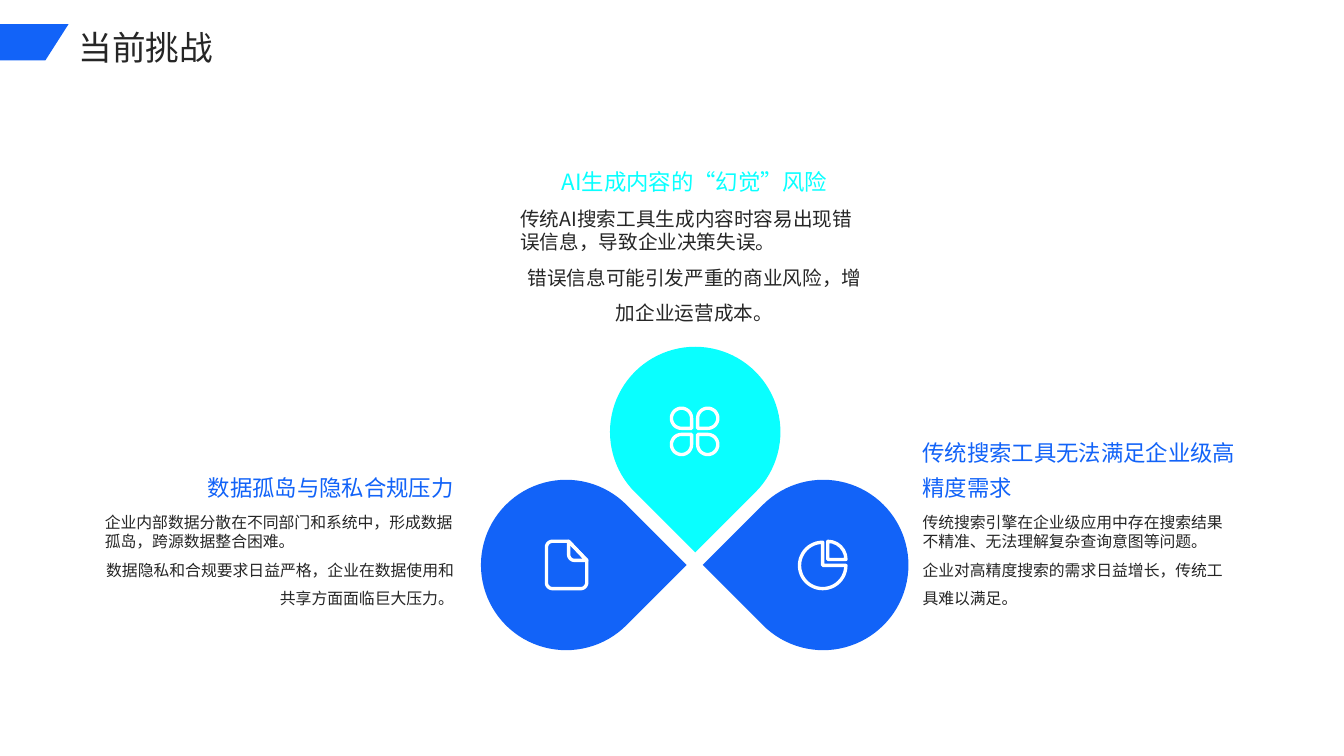
from dataclasses import dataclass
from math import cos, radians, sin, sqrt

from pptx import Presentation
from pptx import util as u
from pptx.dml.color import RGBColor
from pptx.enum import shapes, text
from pptx.oxml.ns import qn
from lxml import etree


@dataclass(frozen=True)
class Theme:
    font: str = "Noto Sans CJK SC"
    blue: str = "1263F8"
    cyan: str = "09FFFF"
    ink: str = "262626"
    white: str = "FFFFFF"
    title: float = 24
    heading: float = 16
    body: float = 14
    small: float = 11.3
    icon_line: float = 2.4


T = Theme()
SHAPE = shapes.MSO_SHAPE
LEFT, CENTER, RIGHT = text.PP_ALIGN.LEFT, text.PP_ALIGN.CENTER, text.PP_ALIGN.RIGHT

# heading, body paragraphs, left, heading top, width, alignment, body size, colour
CHALLENGES = [
    ("AI生成内容的“幻觉”风险",
     ["传统AI搜索工具生成内容时容易出现错误信息，导致企业决策失误。",
      "错误信息可能引发严重的商业风险，增加企业运营成本。"],
     5.16, 1.3, 3.46, CENTER, T.body, T.cyan),
    ("数据孤岛与隐私合规压力",
     ["企业内部数据分散在不同部门和系统中，形成数据孤岛，跨源数据整合困难。",
      "数据隐私和合规要求日益严格，企业在数据使用和共享方面面临巨大压力。"],
     1.04, 4.34, 3.46, RIGHT, T.small, T.blue),
    ("传统搜索工具无法满足企业级高精度需求",
     ["传统搜索引擎在企业级应用中存在搜索结果不精准、无法理解复杂查询意图等问题。",
      "企业对高精度搜索的需求日益增长，传统工具难以满足。"],
     9.15, 4.34, 3.13, LEFT, T.small, T.blue),
]
# left, top, rotation, colour
DROPS = [(6.05, 3.44, 135, T.cyan), (7.32, 4.76, 225, T.blue), (4.77, 4.76, 45, T.blue)]


def rgb(color):
    return RGBColor.from_string(color)


def style_paragraph(p, size, color, align, spacing):
    p.alignment, p.line_spacing = align, spacing
    p.font.size, p.font.name = u.Pt(size), T.font
    p.font.color.rgb = rgb(color)
    props = p._p.get_or_add_pPr().find(qn("a:defRPr"))
    latin = props.find(qn("a:latin"))
    ea = etree.Element(qn("a:ea"), typeface=T.font)
    latin.addnext(ea)


def paint(sp, fill=None, line=None):
    sp.shadow.inherit = False
    if fill:
        sp.fill.solid()
        sp.fill.fore_color.rgb = rgb(fill)
    else:
        sp.fill.background()
    if line:
        sp.line.color.rgb = rgb(line)
        sp.line.width = u.Pt(T.icon_line)
    else:
        sp.line.fill.background()


def add_preset(s, kind, left, top, size, rotation=0, **colors):
    sp = s.shapes.add_shape(kind, *map(u.Inches, (left, top, size, size)))
    sp.rotation = rotation
    paint(sp, **colors)


def add_outline(s, *contours, **colors):
    """One freeform made of closed contours, given as points in inches."""
    builder = s.shapes.build_freeform(*map(u.Inches, contours[0][0]))
    for i, contour in enumerate(contours):
        start, *rest = [tuple(map(u.Inches, point)) for point in contour]
        if i:
            builder.move_to(*start)
        builder.add_line_segments(rest, close=True)
    paint(builder.convert_to_shape(), **colors)


def polar(cx, cy, radius, degrees):
    return cx + radius * cos(radians(degrees)), cy + radius * sin(radians(degrees))


def arc(cx, cy, radius, start, sweep=90):
    """Points of a clockwise arc, from the start angle in degrees."""
    return [polar(cx, cy, radius, start + step) for step in range(0, sweep + 1, 10)]


def add_text(s, left, top, width, height, anchor, paragraphs):
    """Each paragraph is (wording, size, colour, alignment, spacing)."""
    tf = s.shapes.add_textbox(*map(u.Inches, (left, top, width, height))).text_frame
    tf.word_wrap = True
    tf.vertical_anchor = anchor
    tf.margin_left = tf.margin_right = tf.margin_top = tf.margin_bottom = 0
    for i, (words, *style) in enumerate(paragraphs):
        p = tf.add_paragraph() if i else tf.paragraphs[0]
        p.text = words
        style_paragraph(p, *style)


def add_title(s, words):
    title = s.shapes.title
    title.left, title.top = u.Inches(0.68), u.Inches(0.18)
    title.width, title.height = u.Inches(11.71), u.Inches(0.46)
    tf = title.text_frame
    tf.text = words
    tf.auto_size = text.MSO_AUTO_SIZE.NONE
    tf.vertical_anchor = text.MSO_ANCHOR.TOP
    style_paragraph(tf.paragraphs[0], T.title, T.ink, LEFT, 1.1)


def add_challenge(s, heading, body, left, top, width, align, size, color):
    add_text(s, left, top, width, 0.63, text.MSO_ANCHOR.BOTTOM,
             [(heading, T.heading, color, align, 1.3)])
    first, second = body
    add_text(s, left, top + 0.75, width, 1.31, text.MSO_ANCHOR.TOP,
             [(first, size, T.ink, LEFT, 1.0), (second, size, T.ink, align, 1.5)])


def add_petal_icon(s):
    cx, cy, r, offset = 6.89, 4.28, 0.1, 0.13
    petals = []
    for start in range(0, 360, 90):
        center = polar(cx, cy, -offset * sqrt(2), start + 45)
        tip = polar(*center, r * sqrt(2), start + 45)
        petals.append([*arc(*center, r, start + 90, 270), tip])
    add_outline(s, *petals, line=T.white)


def add_pie_icon(s):
    add_preset(s, SHAPE.PIE, 7.93, 5.38, 0.46, line=T.white)
    add_preset(s, SHAPE.PIE_WEDGE, 8.21, 5.37, 0.18, 90, line=T.white)


def add_page_icon(s):
    left, top, right, bottom, r = 5.42, 5.37, 5.82, 5.84, 0.06
    fold_x, fold_y = 5.64, 5.56
    page = [(fold_x, top), (right, fold_y),
            *arc(right - r, bottom - r, r, 0),
            *arc(left + r, bottom - r, r, 90),
            *arc(left + r, top + r, r, 180)]
    fold = [(fold_x, top), *reversed(arc(fold_x + r, fold_y - r, r, 90)), (right, fold_y)]
    add_outline(s, page, fold, line=T.white)


def main():
    prs = Presentation()
    prs.slide_width, prs.slide_height = u.Inches(13.33), u.Inches(7.5)
    s = prs.slides.add_slide(prs.slide_layouts[5])
    for left, top, rotation, color in DROPS:
        add_preset(s, SHAPE.TEAR, left, top, 1.69, rotation, fill=color)
    for challenge in CHALLENGES:
        add_challenge(s, *challenge)
    add_pie_icon(s)
    add_page_icon(s)
    add_petal_icon(s)
    add_outline(s, [(0, 0.24), (0.68, 0.24), (0.45, 0.6), (0, 0.6)], fill=T.blue)
    add_title(s, "当前挑战")
    prs.save("out.pptx")


if __name__ == "__main__":
    main()
